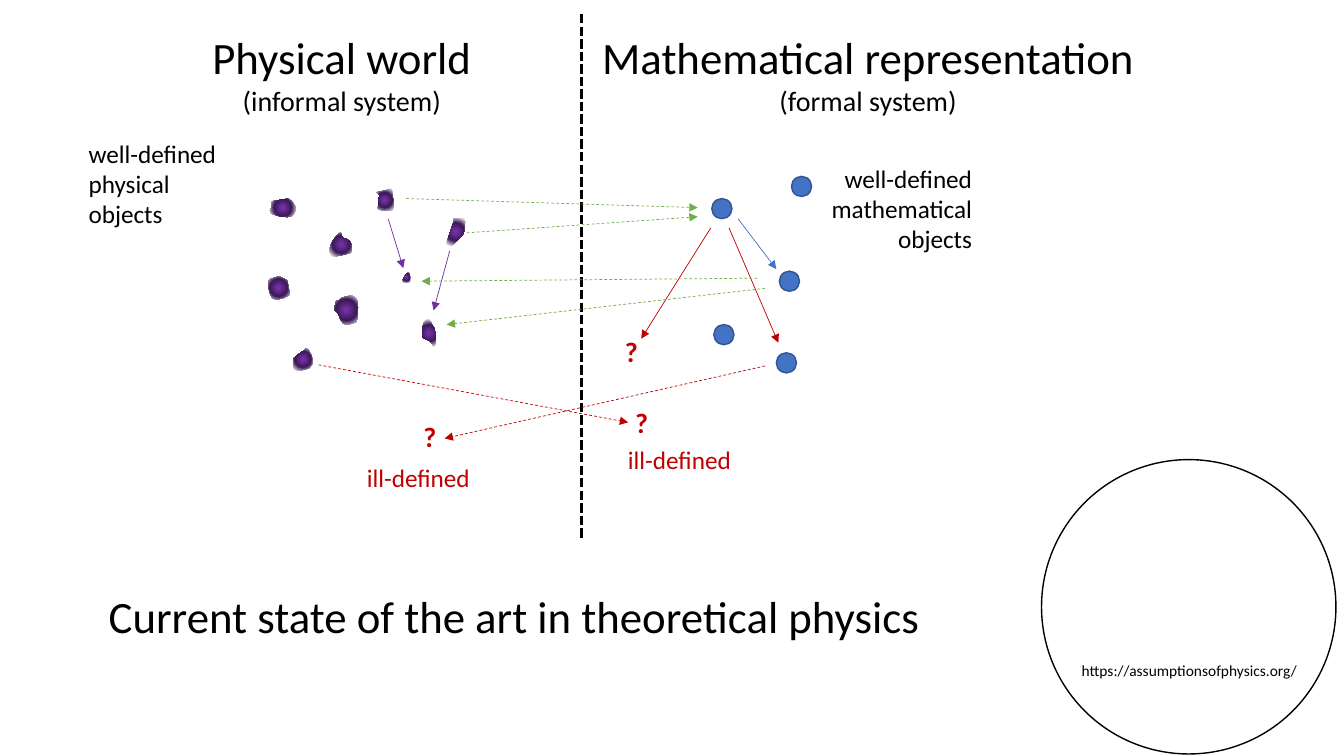
from lxml.etree import SubElement
from pptx import Presentation
from pptx.dml.color import RGBColor
from pptx.enum.dml import MSO_LINE
from pptx.enum.shapes import MSO_CONNECTOR, MSO_SHAPE
from pptx.enum.text import MSO_AUTO_SIZE, PP_ALIGN
from pptx.oxml import parse_xml
from pptx.oxml.ns import nsdecls, qn
from pptx.util import Inches, Pt

COLORS = {
    "black": "000000", "white": "FFFFFF", "purple": "7030A0", "plum": "3C1A56",
    "blue": "4472C4", "navy": "325491", "green": "70AD47", "red": "C00000",
}
FONT = "Calibri"
SPLIT = 5.77
DOT = 0.2

BLOBS = [
    (2.65, 2.74, [(9, 1), (1, 5), (4, 20), (10, 23), (20, 20), (22, 17),
                  (20, 5), (18, 3), (11, 0)]),
    (3.73, 1.88, [(0, 3), (9, 1), (12, 0), (16, 1), (17, 20), (14, 21),
                  (3, 20), (2, 17), (3, 5)]),
    (3.28, 2.31, [(9, 0), (0, 12), (1, 23), (16, 21), (21, 18), (19, 8), (12, 5)]),
    (3.32, 2.93, [(0, 15), (1, 6), (4, 5), (8, 2), (12, 1), (16, 0), (19, 1),
                  (23, 8), (22, 25), (20, 27), (13, 29), (9, 28), (7, 26), (2, 16)]),
    (2.91, 3.45, [(14, 1), (10, 3), (2, 9), (0, 12), (2, 22), (16, 20), (19, 12)]),
    (3.98, 2.7, [(7, 0), (1, 9), (6, 10), (9, 9)]),
    (4.18, 3.17, [(7, 0), (2, 4), (1, 17), (8, 21), (13, 27), (14, 17),
                  (13, 9), (11, 6)]),
    (4.43, 2.17, [(0, 25), (7, 3), (7, 0), (14, 0), (18, 0), (17, 14),
                  (10, 22), (8, 24), (6, 26)]),
    (2.67, 1.97, [(19, 0), (15, 1), (5, 2), (2, 4), (2, 9), (1, 14),
                  (13, 18), (23, 17), (26, 8)]),
]
DOTS = [(1.96, 2.69), (1.29, 1.97), (1.31, 3.22), (2.08, 1.75), (1.93, 3.5)]
LINKS = [
    (4.63, 2.31, 6.92, 2.15, "green"), (4.03, 1.97, 6.92, 2.06, "green"),
    (7.59, 2.86, 4.43, 3.22, "green"), (7.51, 2.76, 4.18, 2.79, "green"),
    (3.16, 3.62, 6.23, 4.19, "red"), (7.59, 3.63, 4.41, 4.35, "red"),
]


def tint(name):
    return RGBColor.from_string(COLORS[name])


def add_text(slide, box, paras, color="black", align=PP_ALIGN.LEFT, bold=False):
    shape = slide.shapes.add_textbox(*map(Inches, box))
    frame = shape.text_frame
    frame.word_wrap = False
    frame.auto_size = MSO_AUTO_SIZE.SHAPE_TO_FIT_TEXT
    for row, lines in enumerate(paras):
        para = frame.add_paragraph() if row else frame.paragraphs[0]
        para.alignment = align
        for index, (words, size) in enumerate(lines):
            if index:
                para.add_line_break()
            run = para.add_run()
            run.text = words
            run.font.name = FONT
            run.font.size = Pt(size)
            run.font.bold = bold
            run.font.color.rgb = tint(color)


def add_line(slide, x1, y1, x2, y2, color, width=0.5, dash=None, arrow=True):
    line = slide.shapes.add_connector(
        MSO_CONNECTOR.STRAIGHT, *map(Inches, (x1, y1, x2, y2)))
    line.line.color.rgb = tint(color)
    line.line.width = Pt(width)
    if dash:
        line.line.dash_style = dash
    if arrow:
        edge = line._element.spPr.find(qn("a:ln"))
        SubElement(edge, qn("a:tailEnd"), type="triangle")
    SubElement(line._element.spPr, qn("a:effectLst"))


def add_oval(slide, x, y, size, fill, edge):
    oval = slide.shapes.add_shape(
        MSO_SHAPE.OVAL, *map(Inches, (x, y, size, size)))
    oval.shadow.inherit = False
    if fill:
        oval.fill.solid()
        oval.fill.fore_color.rgb = tint(fill)
    else:
        oval.fill.background()
    oval.line.color.rgb = tint(edge)
    oval.line.width = Pt(1)


def bend(blob):
    legs = list(blob._element.iter(qn("a:lnTo")))
    ends = [(int(leg[0].get("x")), int(leg[0].get("y"))) for leg in legs]
    count = len(ends)
    for i, leg in enumerate(legs):
        a, b, c, d = (ends[(i + k) % count] for k in (-2, -1, 0, 1))
        first = [round(q + (r - p) / 6) for p, q, r in zip(a, b, c)]
        second = [round(q - (r - p) / 6) for p, q, r in zip(b, c, d)]
        leg.tag = qn("a:cubicBezTo")
        for place, (px, py) in enumerate((first, second)):
            leg.insert(place, parse_xml(
                f'<a:pt {nsdecls("a")} x="{px}" y="{py}"/>'))


def add_blob(slide, x, y, points):
    spots = [(Inches(x + px / 100), Inches(y + py / 100)) for px, py in points]
    pen = slide.shapes.build_freeform(*spots[0])
    pen.add_line_segments(spots[1:] + spots[:1], close=True)
    blob = pen.convert_to_shape()
    blob.shadow.inherit = False
    blob.line.fill.background()
    bend(blob)
    stops = "".join(
        f'<a:gs pos="{pos}000"><a:srgbClr val="{COLORS[name]}"/></a:gs>'
        for pos, name in ((12, "purple"), (56, "plum"), (100, "white")))
    fill = parse_xml(
        f'<a:gradFill {nsdecls("a")} rotWithShape="1"><a:gsLst>{stops}</a:gsLst>'
        '<a:path path="circle"><a:fillToRect l="50000" t="50000" r="50000" '
        'b="50000"/></a:path></a:gradFill>')
    blob._element.spPr.find(qn("a:custGeom")).addnext(fill)


def add_badge(slide, x, y):
    add_oval(slide, x, y, 2.92, None, "black")
    add_text(slide, (x + 0.3, y + 1.95, 2.35, 0.29),
             [[("https://assumptionsofphysics.org/", 11)]])


def add_world(slide, x, y):
    add_text(slide, (x + 1.99, y + 0.25, 2.8, 0.98),
             [[("Physical world", 32), ("(informal system)", 20)]],
             align=PP_ALIGN.CENTER)
    add_text(slide, (x + 0.78, y + 1.32, 1.48, 1.01),
             [[("well-defined", 18), ("physical", 18)], [("objects", 18)]])
    for bx, by, points in BLOBS:
        add_blob(slide, x + bx, y + by, points)
    for x1, y1, x2, y2 in ((4.46, 2.49, 4.3, 3.08), (3.85, 2.17, 4, 2.66)):
        add_line(slide, x + x1, y + y1, x + x2, y + y2, "purple")
    add_text(slide, (x + 4.1, y + 4.11, 0.33, 0.44), [[("?", 20)]], "red", bold=True)
    add_text(slide, (x + 3.54, y + 4.54, 1.24, 0.4), [[("ill-defined", 18)]], "red")


def add_math(slide, x, y):
    add_text(slide, (x + 0.07, y + 0.25, 5.54, 0.98),
             [[("Mathematical representation", 32)], [("(formal system)", 20)]],
             align=PP_ALIGN.CENTER)
    add_text(slide, (x + 2.36, y + 1.57, 1.61, 1.01),
             [[("well-defined", 18), ("mathematical", 18), ("objects", 18)]],
             align=PP_ALIGN.RIGHT)
    for dx, dy in DOTS:
        add_oval(slide, x + dx, y + dy, DOT, "blue", "navy")
    for x1, y1, x2, y2, color in ((1.55, 2.17, 1.93, 2.67, "blue"),
                                  (1.46, 2.26, 1.95, 3.4, "red"),
                                  (1.28, 2.26, 0.59, 3.36, "red")):
        add_line(slide, x + x1, y + y1, x + x2, y + y2, color)
    for mx, my in ((0.43, 3.97), (0.33, 3.27)):
        add_text(slide, (x + mx, y + my, 0.33, 0.44), [[("?", 20)]], "red", bold=True)
    add_text(slide, (x + 0.36, y + 4.36, 1.24, 0.4), [[("ill-defined", 18)]], "red")


def add_links(slide, x, y):
    add_line(slide, x + SPLIT, y + 0.14, x + SPLIT, y + 5.35, "black", 2.25,
             MSO_LINE.SQUARE_DOT, False)
    for x1, y1, x2, y2, color in LINKS:
        add_line(slide, x + x1, y + y1, x + x2, y + y2, color, dash=MSO_LINE.DASH)


def main():
    deck = Presentation()
    deck.slide_width, deck.slide_height = Inches(13.33), Inches(7.5)
    slide = deck.slides.add_slide(deck.slide_layouts[6])
    add_badge(slide, 10.33, 4.56)
    add_world(slide, 0, 0)
    add_math(slide, SPLIT, 0)
    add_links(slide, 0, 0)
    add_text(slide, (0.98, 5.79, 8.33, 0.64),
             [[("Current state of the art in theoretical physics", 32)]])
    deck.save("out.pptx")


if __name__ == "__main__":
    main()
